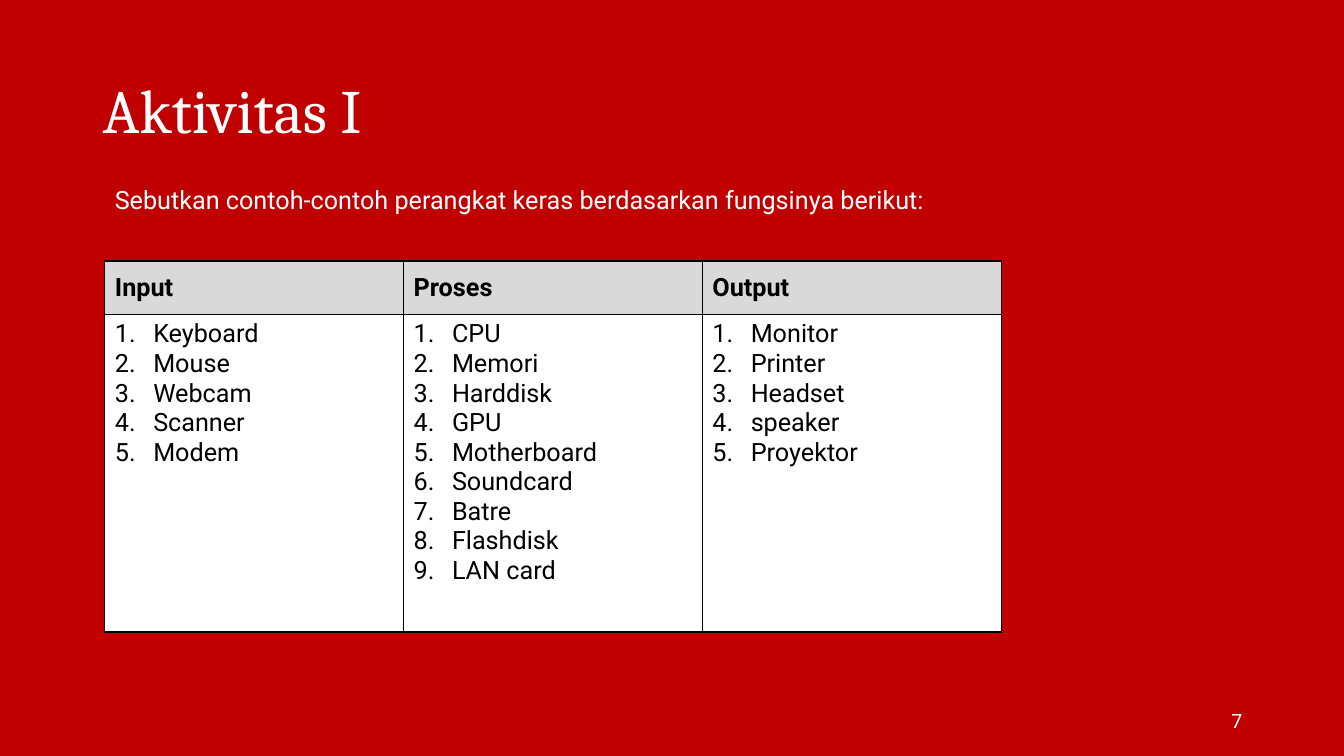
from dataclasses import dataclass

from lxml import etree
from pptx import Presentation
from pptx.dml.color import RGBColor
from pptx.enum import text
from pptx.oxml.ns import qn
from pptx.util import Inches, Pt


@dataclass(frozen=True)
class Theme:
    background: str = "C00000"
    light: str = "FFFFFF"
    dark: str = "000000"
    header: str = "D9D9D9"
    title_font: str = "Cambria"
    body_font: str = "Roboto"
    title_size: int = 44
    body_size: int = 18
    number_size: int = 14
    border_width: int = 1
    list_indent: float = 0.38


def write(paragraph, content, *, font, size, color, bold=False, align=None, spacing=None):
    run = paragraph.add_run()
    run.text = content
    run.font.name = font
    run.font.size = Pt(size)
    run.font.bold = bold
    run.font.color.rgb = RGBColor.from_string(color)
    paragraph.alignment = align
    paragraph.line_spacing = spacing


class SlideBuilder:
    def __init__(self, presentation, theme):
        self.theme = theme
        self.slide = presentation.slides.add_slide(presentation.slide_layouts[6])
        fill = self.slide.background.fill
        fill.solid()
        fill.fore_color.rgb = RGBColor.from_string(theme.background)

    def text_box(self, content, left, top, width, height, *, wrap=True,
                 anchor=text.MSO_ANCHOR.MIDDLE, **style):
        shape = self.slide.shapes.add_textbox(
            Inches(left), Inches(top), Inches(width), Inches(height))
        frame = shape.text_frame
        frame.word_wrap = wrap
        frame.vertical_anchor = anchor
        write(frame.paragraphs[0], content, color=self.theme.light, **style)

    def table(self, columns, left, top, width, row_heights):
        shape = self.slide.shapes.add_table(
            len(row_heights), len(columns), Inches(left), Inches(top),
            Inches(width), Inches(sum(row_heights)))
        table = shape.table
        for row, height in zip(table.rows, row_heights):
            row.height = Inches(height)
        for index, (heading, items) in enumerate(columns.items()):
            table.columns[index].width = Inches(width / len(columns))
            self.cell(table.cell(0, index), [heading], self.theme.header,
                      text.MSO_ANCHOR.MIDDLE, bold=True)
            self.cell(table.cell(1, index), items, self.theme.light,
                      text.MSO_ANCHOR.TOP, numbered=True)

    def cell(self, cell, lines, fill, anchor, bold=False, numbered=False):
        self.borders(cell)
        cell.fill.solid()
        cell.fill.fore_color.rgb = RGBColor.from_string(fill)
        cell.vertical_anchor = anchor
        frame = cell.text_frame
        for index, line in enumerate(lines):
            paragraph = frame.add_paragraph() if index else frame.paragraphs[0]
            if numbered:
                self.number(paragraph)
            write(paragraph, line, font=self.theme.body_font,
                  size=self.theme.body_size, color=self.theme.dark, bold=bold)

    def number(self, paragraph):
        properties = paragraph._p.get_or_add_pPr()
        indent = Inches(self.theme.list_indent)
        properties.set("marL", str(indent))
        properties.set("indent", str(-indent))
        etree.SubElement(properties, qn("a:buFont"), typeface="+mj-lt")
        etree.SubElement(properties, qn("a:buAutoNum"), type="arabicPeriod")

    def borders(self, cell):
        properties = cell._tc.get_or_add_tcPr()
        for side in ("lnL", "lnR", "lnT", "lnB"):
            line = etree.SubElement(properties, qn(f"a:{side}"),
                                    w=str(Pt(self.theme.border_width)))
            fill = etree.SubElement(line, qn("a:solidFill"))
            etree.SubElement(fill, qn("a:srgbClr"), val=self.theme.dark)


def main():
    presentation = Presentation()
    presentation.slide_width = Inches(13.33)
    presentation.slide_height = Inches(7.5)
    theme = Theme()
    builder = SlideBuilder(presentation, theme)
    builder.text_box("Aktivitas I", 0.92, 0.4, 11.5, 1.45,
                     font=theme.title_font, size=theme.title_size, spacing=0.9)
    builder.text_box("7", 9.42, 6.95, 3, 0.4, font=theme.body_font,
                     size=theme.number_size, align=text.PP_ALIGN.RIGHT)
    hardware = {
        "Input": ["Keyboard", "Mouse", "Webcam", "Scanner", "Modem"],
        "Proses": ["CPU", "Memori", "Harddisk", "GPU", "Motherboard",
                   "Soundcard", "Batre", "Flashdisk", "LAN card"],
        "Output": ["Monitor", "Printer", "Headset", "speaker", "Proyektor"],
    }
    builder.table(hardware, 1.04, 2.59, 8.89, [0.53, 3.15])
    builder.text_box(
        "Sebutkan contoh-contoh perangkat keras berdasarkan fungsinya berikut:",
        1.04, 1.78, 8.23, 0.4, wrap=False, anchor=text.MSO_ANCHOR.TOP,
        font=theme.body_font, size=theme.body_size)
    presentation.save("out.pptx")


if __name__ == "__main__":
    main()
